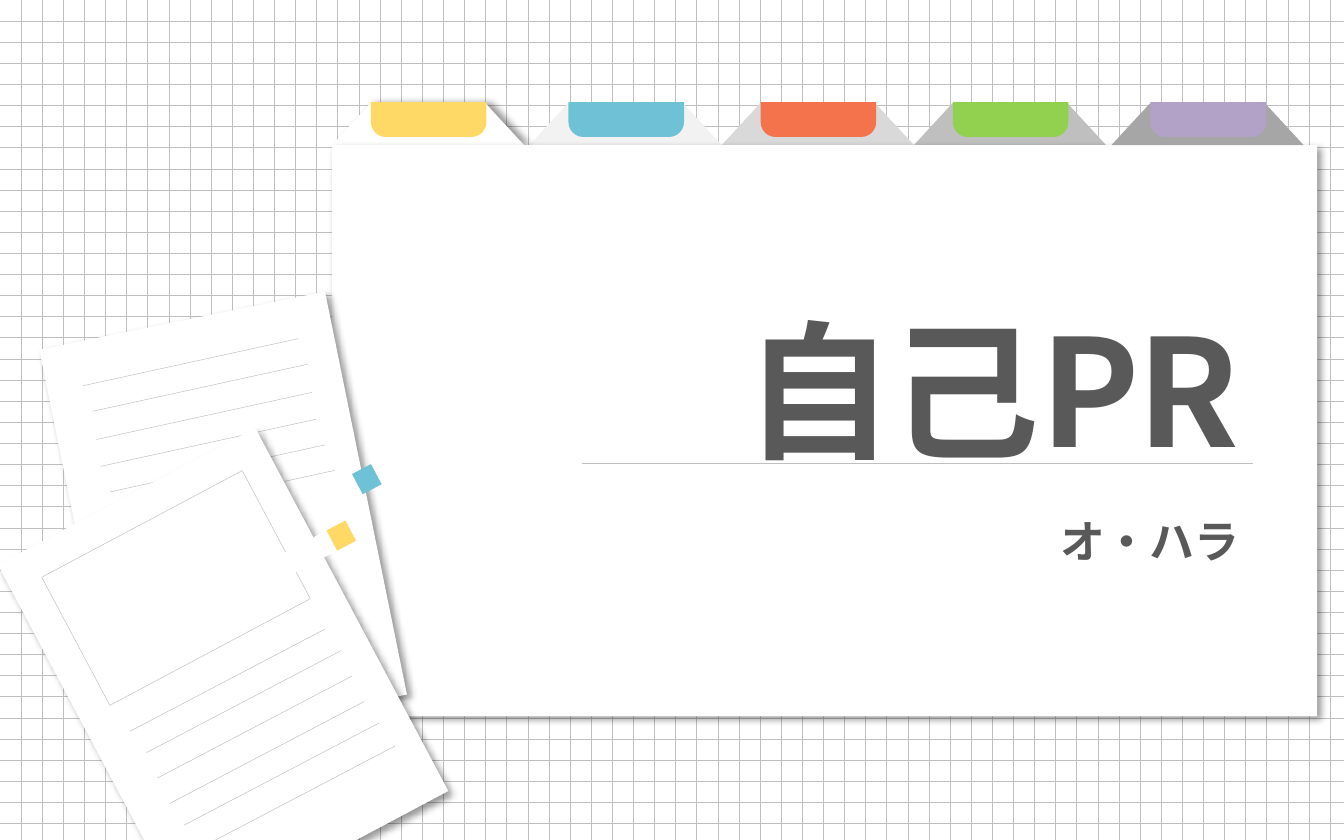
import pptx
import pptx.dml.color
import pptx.enum.dml
import pptx.enum.shapes
import pptx.enum.text
import pptx.oxml
import pptx.oxml.ns
import pptx.util
from lxml import etree

Inches = pptx.util.Inches
Pt = pptx.util.Pt
RGBColor = pptx.dml.color.RGBColor
SHAPE = pptx.enum.shapes.MSO_SHAPE
qn = pptx.oxml.ns.qn

WHITE = RGBColor(0xFF, 0xFF, 0xFF)
RULE_GREY = RGBColor(0xBF, 0xBF, 0xBF)
TEXT_GREY = RGBColor(0x59, 0x59, 0x59)
PALE_GREY = RGBColor(0xF2, 0xF2, 0xF2)
LIGHT_GREY = RGBColor(0xD9, 0xD9, 0xD9)
DARK_GREY = RGBColor(0xA6, 0xA6, 0xA6)
YELLOW = RGBColor(0xFF, 0xD9, 0x66)
BLUE = RGBColor(0x6F, 0xC1, 0xD5)
ORANGE = RGBColor(0xF5, 0x73, 0x4C)
GREEN = RGBColor(0x92, 0xD0, 0x50)
PURPLE = RGBColor(0xB3, 0xA2, 0xC7)

FONT = "Noto Sans CJK JP"
TABS = [
    (2.47, WHITE, YELLOW),
    (3.94, PALE_GREY, BLUE),
    (5.37, LIGHT_GREY, ORANGE),
    (6.80, RULE_GREY, GREEN),
    (8.27, DARK_GREY, PURPLE),
]
BACK_SHEET_LINES = [(0.62, 2.87), (0.69, 3.06), (0.72, 3.27),
                    (0.75, 3.47), (0.82, 3.66), (0.89, 3.85)]
FRONT_SHEET_LINES = [(0.97, 5.44), (1.09, 5.60), (1.17, 5.79),
                     (1.26, 5.98), (1.37, 6.14), (1.49, 6.31)]


class Cover:
    def __init__(self, slide):
        self.slide = slide
        self.shapes = slide.shapes

    def start_group(self):
        self.shapes = self.slide.shapes.add_group_shape().shapes

    def background(self):
        fill = self.slide.background.fill
        fill.patterned()
        fill.pattern = pptx.enum.dml.MSO_PATTERN.DOTTED_GRID
        fill.fore_color.rgb = RULE_GREY
        fill.back_color.rgb = WHITE

    def shadow(self, shape, angle):
        effects = shape._element.spPr.find(qn("a:effectLst"))
        outer = etree.SubElement(effects, qn("a:outerShdw"), blurRad=str(Pt(4)), dist=str(Pt(3)),
                                 dir=str(angle * 60000), algn="tl", rotWithShape="0")
        black = etree.SubElement(outer, qn("a:srgbClr"), val="000000")
        etree.SubElement(black, qn("a:alpha"), val="40000")

    def shape(self, kind, box, fill=None, outline=None, turn=0, flip=False, shadow=None):
        shape = self.shapes.add_shape(kind, *map(Inches, box))
        shape.shadow.inherit = False
        shape.rotation = turn
        if fill is None:
            shape.fill.background()
        else:
            shape.fill.solid()
            shape.fill.fore_color.rgb = fill
        if outline is None:
            shape.line.fill.background()
        else:
            shape.line.color.rgb = outline
            shape.line.width = Pt(0.25)
        if flip:
            shape._element.spPr.xfrm.set("flipV", "1")
        if shadow is not None:
            self.shadow(shape, shadow)
        return shape

    def tab(self, left, fill, shadow=None):
        self.shape(SHAPE.FLOWCHART_MANUAL_OPERATION, (left, 0.77, 1.43, 0.31), fill,
                   flip=True, shadow=shadow)

    def tab_label(self, left, fill):
        label = self.shape(SHAPE.ROUND_2_SAME_RECTANGLE, (left + 0.29, 0.76, 0.86, 0.26), fill,
                           flip=True)
        label.adjustments[0] = 0.427
        label.adjustments[1] = 0

    def sheet(self, top, turn):
        self.shape(SHAPE.RECTANGLE, (0.13, top, 3.06, 2.17), WHITE, turn=turn, shadow=45)

    def sticky(self, left, top, fill):
        self.shape(SHAPE.RECTANGLE, (left, top, 0.49, 0.17), WHITE, turn=332.2)
        self.shape(SHAPE.RECTANGLE, (left + 0.45, top - 0.15, 0.16, 0.17), fill, turn=332.2)

    def rule(self, left, top, run, rise=0):
        rule = self.shapes.add_connector(pptx.enum.shapes.MSO_CONNECTOR.STRAIGHT, Inches(left),
                                         Inches(top), Inches(left + run), Inches(top - rise))
        rule.line.color.rgb = RULE_GREY
        rule.line.width = Pt(0.25)
        etree.SubElement(rule._element.spPr, qn("a:effectLst"))

    def text(self, holder, wording, box, size, spacing=None):
        holder.left, holder.top, holder.width, holder.height = map(Inches, box)
        frame = holder.text_frame
        frame_format = {
            "word_wrap": True,
            "auto_size": pptx.enum.text.MSO_AUTO_SIZE.SHAPE_TO_FIT_TEXT,
            "vertical_anchor": pptx.enum.text.MSO_ANCHOR.TOP,
        }
        for name, value in frame_format.items():
            setattr(frame, name, value)
        paragraph = frame.paragraphs[0]
        paragraph.alignment = pptx.enum.text.PP_ALIGN.RIGHT
        run = paragraph.add_run()
        run.text = wording
        for name, value in {"name": FONT, "size": Pt(size), "bold": True}.items():
            setattr(run.font, name, value)
        run.font.color.rgb = TEXT_GREY
        properties = run._r.get_or_add_rPr()
        etree.SubElement(properties, qn("a:ea"), typeface=FONT)
        if spacing is not None:
            properties.set("spc", str(int(spacing * 100)))

    def title(self, wording, box, size, spacing):
        title = self.slide.shapes.title
        self.slide.shapes._spTree.append(title._element)
        self.text(title, wording, box, size, spacing)

    def text_box(self, wording, box, size):
        self.text(self.slide.shapes.add_textbox(*map(Inches, box)), wording, box, size)


def main():
    deck = pptx.Presentation()
    deck.slide_width = Inches(10)
    deck.slide_height = Inches(6.25)
    cover = Cover(deck.slides.add_slide(deck.slide_layouts[5]))
    cover.background()

    cover.start_group()
    first_left, first_fill, _ = TABS[0]
    last_left, last_fill, _ = TABS[-1]
    for left, fill, _ in reversed(TABS[1:-1]):
        cover.tab(left, fill)
    cover.tab(first_left, first_fill, shadow=0)
    cover.shape(SHAPE.RECTANGLE, (2.47, 1.08, 7.33, 4.25), WHITE, shadow=45)
    cover.tab(last_left, last_fill)
    for left, _, label_fill in TABS:
        cover.tab_label(left, label_fill)

    cover.title("自己PR", (4.25, 2.17, 5.07, 1.45), 80, -1.5)
    cover.text_box("オ・ハラ", (7.36, 3.77, 1.96, 0.5), 24)

    cover.start_group()
    cover.sheet(2.8, 78.5)
    for left, top in BACK_SHEET_LINES:
        cover.rule(left, top, 1.6, 0.35)
    cover.sticky(2.2, 3.63, BLUE)
    cover.sheet(3.96, 62)
    cover.shape(SHAPE.RECTANGLE, (0.77, 3.53, 1.08, 1.69), outline=RULE_GREY, turn=62)
    for left, top in FRONT_SHEET_LINES:
        cover.rule(left, top, 1.45, 0.76)
    cover.sticky(2.01, 4.05, YELLOW)

    cover.shapes = cover.slide.shapes
    cover.rule(4.33, 3.45, 4.99)

    deck.save("out.pptx")


if __name__ == "__main__":
    main()
